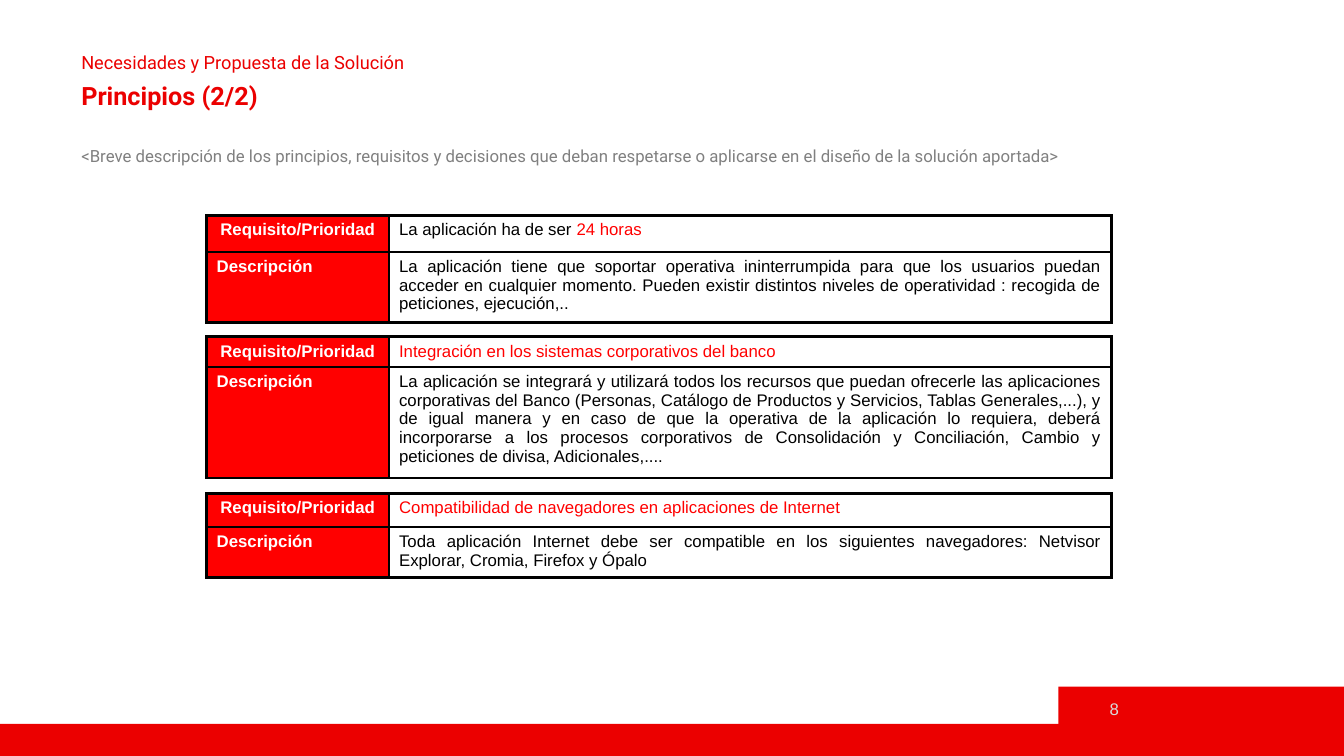
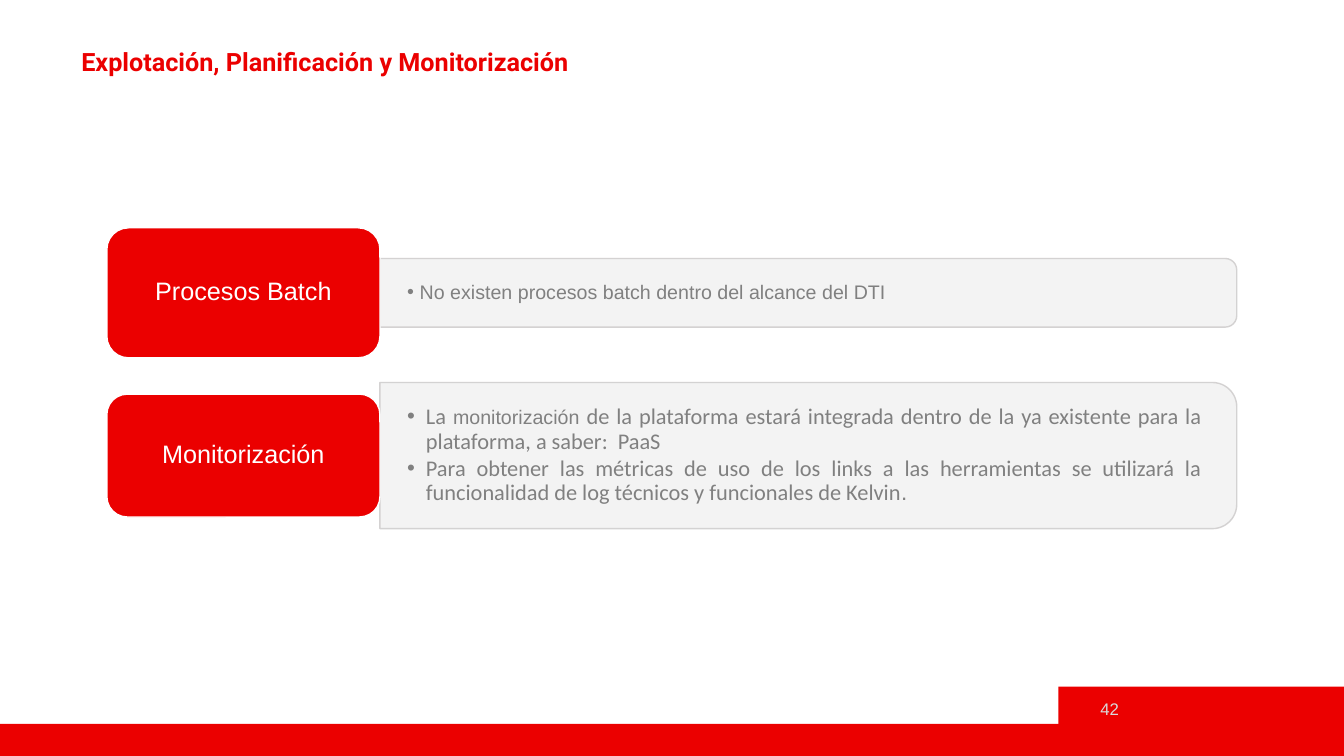
from pptx import Presentation
from pptx.dml.color import RGBColor
from pptx.enum.shapes import MSO_SHAPE
from pptx.enum.text import MSO_ANCHOR, PP_ALIGN
from pptx.oxml.ns import qn
from pptx.util import Pt
from lxml.etree import SubElement

RED = RGBColor(0xEB, 0x00, 0x00)
BRIGHT_RED = RGBColor(0xFF, 0x00, 0x00)
WHITE = RGBColor(0xFF, 0xFF, 0xFF)
BLACK = RGBColor(0x00, 0x00, 0x00)
GREY = RGBColor(0x80, 0x80, 0x80)
PALE = RGBColor(0xF2, 0xF2, 0xF2)
EDGE = RGBColor(0xD0, 0xCE, 0xCE)
NUMBER_GREY = RGBColor(0xD9, 0xD9, 0xD9)

SLIDE_W, SLIDE_H = 960, 540
TITLE_BOX = (51, 31.7, 853, 26.6)
LEAD_BOX = (51, 99.4, 853, 26.6)

TITLE = dict(size=Pt(18), name="Roboto", bold=True, color=RED)
SECTION = dict(size=Pt(13), name="Roboto", color=RED)
LEAD = dict(size=Pt(12), name="Roboto", color=GREY)
NUMBER = dict(size=Pt(12), name="Arial", color=NUMBER_GREY)
CELL = dict(size=Pt(12), name="Arial", color=BLACK)
CELL_RED = {**CELL, "color": BRIGHT_RED}
CELL_HEAD = {**CELL, "color": WHITE, "bold": True}
LABEL = dict(size=Pt(18), name="Arial", color=WHITE)
ARIAL_14 = dict(size=Pt(14), name="Arial", color=GREY)
ARIAL_16 = {**ARIAL_14, "size": Pt(16)}
CALIBRI_16 = {**ARIAL_16, "name": "Calibri"}


# Shared helpers
def set_all(target, fmt):
    for name, value in fmt.items():
        if name == "color":
            target.color.rgb = value
        else:
            setattr(target, name, value)


def write(p, runs, **fmt):
    set_all(p, fmt)
    for text, font in runs:
        r = p.add_run()
        r.text = text
        set_all(r.font, font)


def add_text(s, box, **frame):
    tf = s.shapes.add_textbox(*map(Pt, box)).text_frame
    set_all(tf, {"word_wrap": True, **frame})
    return tf


def add_block(s, kind, box, fill, line=None):
    sp = s.shapes.add_shape(kind, *map(Pt, box))
    sp.shadow.inherit = False
    sp.fill.solid()
    sp.fill.fore_color.rgb = fill
    if line is None:
        sp.line.fill.background()
    else:
        sp.line.color.rgb = line
        sp.line.width = Pt(1)
    return sp


def add_slide(prs, number, title, section=None):
    s = prs.slides.add_slide(prs.slide_layouts[6])
    # Footer band and page number
    add_block(s, MSO_SHAPE.RECTANGLE, (0, 517, SLIDE_W, 23), RED)
    add_block(s, MSO_SHAPE.RECTANGLE, (756, 490.5, 204, 28), RED)
    tf = add_text(s, (756, 491.8, 50.4, 28.8), vertical_anchor=MSO_ANCHOR.MIDDLE)
    write(tf.paragraphs[0], [(number, NUMBER)], alignment=PP_ALIGN.RIGHT)
    # Title, with the section name above it if there is one
    tf = add_text(s, TITLE_BOX)
    p = tf.paragraphs[0]
    if section:
        tf.margin_top = Pt(7)
        write(p, [(section, SECTION)], line_spacing=0.9)
        p = tf.add_paragraph()
        p.space_before = Pt(7)
    write(p, [(title, TITLE)], line_spacing=0.9)
    return s


# Requirement tables
def add_border(cell, edge, width):
    tc_pr = cell._tc.get_or_add_tcPr()
    ln = SubElement(tc_pr, qn(f"a:{edge}"), w=str(Pt(width)))
    SubElement(SubElement(ln, qn("a:solidFill")), qn("a:srgbClr"), val=str(BLACK))


def add_requirement(s, left, top, heights, requirement, description):
    widths = (130.3, 516.2)
    box = (left, top, sum(widths), sum(heights))
    table = s.shapes.add_table(2, 2, *map(Pt, box)).table
    set_all(table, dict(first_row=False, horz_banding=False))
    for column, width in zip(table.columns, widths):
        column.width = Pt(width)
    texts = (
        ([("Requisito/Prioridad", CELL_HEAD)], requirement),
        ([("Descripción", CELL_HEAD)], [(description, CELL)]),
    )
    head_align = (PP_ALIGN.CENTER, PP_ALIGN.LEFT)
    for i, row in enumerate(texts):
        table.rows[i].height = Pt(heights[i])
        for j, runs in enumerate(row):
            cell = table.cell(i, j)
            for edge, width in (("lnL", 2.25), ("lnR", 2.25),
                                ("lnT", 1 if i else 2.25),
                                ("lnB", 2.25 if i else 1)):
                add_border(cell, edge, width)
            cell.fill.solid()
            cell.fill.fore_color.rgb = WHITE if j else BRIGHT_RED
            write(cell.text_frame.paragraphs[0], runs,
                  alignment=PP_ALIGN.JUSTIFY if j else head_align[i])


def principles_slide(prs):
    s = add_slide(prs, "8", "Principios (2/2)",
                  "Necesidades y Propuesta de la Solución")
    tf = add_text(s, LEAD_BOX)
    write(tf.paragraphs[0], [(
        "<Breve descripción de los principios, requisitos y decisiones que deban "
        "respetarse o aplicarse en el diseño de la solución aportada>", LEAD)],
        alignment=PP_ALIGN.JUSTIFY, line_spacing=1.1)
    requirements = (
        (154, (26, 48),
         [("La aplicación ha de ser ", CELL), ("24 horas", CELL_RED)],
         "La aplicación tiene que soportar operativa ininterrumpida para que los "
         "usuarios puedan acceder en cualquier momento. Pueden existir distintos "
         "niveles de operatividad : recogida de peticiones, ejecución,.."),
        (240.5, (21.5, 75.5),
         [("Integración en los sistemas corporativos del banco", CELL_RED)],
         "La aplicación se integrará y utilizará todos los recursos que puedan "
         "ofrecerle las aplicaciones corporativas del Banco (Personas, Catálogo de "
         "Productos y Servicios, Tablas Generales,...), y de igual manera y en caso "
         "de que la operativa de la aplicación lo requiera, deberá incorporarse a "
         "los procesos corporativos de Consolidación y Conciliación, Cambio y "
         "peticiones de divisa, Adicionales,...."),
        (352.5, (24, 34.5),
         [("Compatibilidad de navegadores en aplicaciones de Internet", CELL_RED)],
         "Toda aplicación Internet debe ser compatible en los siguientes "
         "navegadores: Netvisor Explorar, Cromia, Firefox y Ópalo"),
    )
    for top, heights, requirement, description in requirements:
        add_requirement(s, 147.6, top, heights, requirement, description)


# Label with a bulleted panel to its right
def add_panel(s, left, middle, width, height):
    # The shape is drawn upright and turned, so its round corners face right
    box = (left + (width - height) / 2, middle - width / 2, height, width)
    sp = add_block(s, MSO_SHAPE.ROUND_2_SAME_RECTANGLE, box, PALE, EDGE)
    sp.rotation = 90
    for color in sp._element.spPr.iter(qn("a:srgbClr")):
        SubElement(color, qn("a:alpha"), val="90000")


def add_bullet(p, indent):
    p_pr = p._p.get_or_add_pPr()
    p_pr.set("marL", str(Pt(indent)))
    p_pr.set("indent", str(-Pt(indent)))
    SubElement(p_pr, qn("a:buFont"), typeface="Arial")
    SubElement(p_pr, qn("a:buChar"), char="•")


def add_topic(s, box, panel_h, label, items, indent, align):
    left, top, width, height = box
    middle, panel_left = top + height / 2, left + width
    add_panel(s, panel_left, middle, 612, panel_h)
    # Bulleted text
    text_h = panel_h - 6
    tf = add_text(s, (panel_left, middle - text_h / 2, 606.5, text_h),
                  vertical_anchor=MSO_ANCHOR.MIDDLE,
                  margin_left=Pt(19.4), margin_right=Pt(19.4),
                  margin_top=Pt(10), margin_bottom=Pt(10))
    for i, runs in enumerate(items):
        p = tf.add_paragraph() if i else tf.paragraphs[0]
        add_bullet(p, indent)
        write(p, runs, alignment=align, line_spacing=0.9, space_after=Pt(2.4))
    # Label
    sp = add_block(s, MSO_SHAPE.ROUNDED_RECTANGLE, box, RED, WHITE)
    tf = sp.text_frame
    set_all(tf, dict(word_wrap=True, vertical_anchor=MSO_ANCHOR.MIDDLE))
    write(tf.paragraphs[0], [(label, LABEL)],
          alignment=PP_ALIGN.CENTER, line_spacing=0.9)


def operation_slide(prs):
    s = add_slide(prs, "42", "Explotación, Planificación y Monitorización")
    add_topic(s, (76.3, 162.7, 195.1, 92.9), 49, "Procesos Batch",
              [[("No existen procesos batch dentro del alcance del DTI", ARIAL_14)]],
              9, PP_ALIGN.LEFT)
    add_topic(s, (76.3, 281.5, 195.1, 87.8), 104.4, "Monitorización", [
        [("La ", CALIBRI_16), ("monitorización", ARIAL_14),
         (" de la plataforma estará integrada dentro de la ya existente para la "
          "plataforma, a saber:  PaaS", CALIBRI_16)],
        [("Para obtener las métricas de uso de los links a las herramientas se "
          "utilizará la funcionalidad de log técnicos y funcionales de Kelvin",
          CALIBRI_16), (".", ARIAL_16)],
    ], 13.5, PP_ALIGN.JUSTIFY)


def main():
    prs = Presentation()
    prs.slide_width, prs.slide_height = Pt(SLIDE_W), Pt(SLIDE_H)
    principles_slide(prs)
    operation_slide(prs)
    prs.save("out.pptx")


if __name__ == "__main__":
    main()
